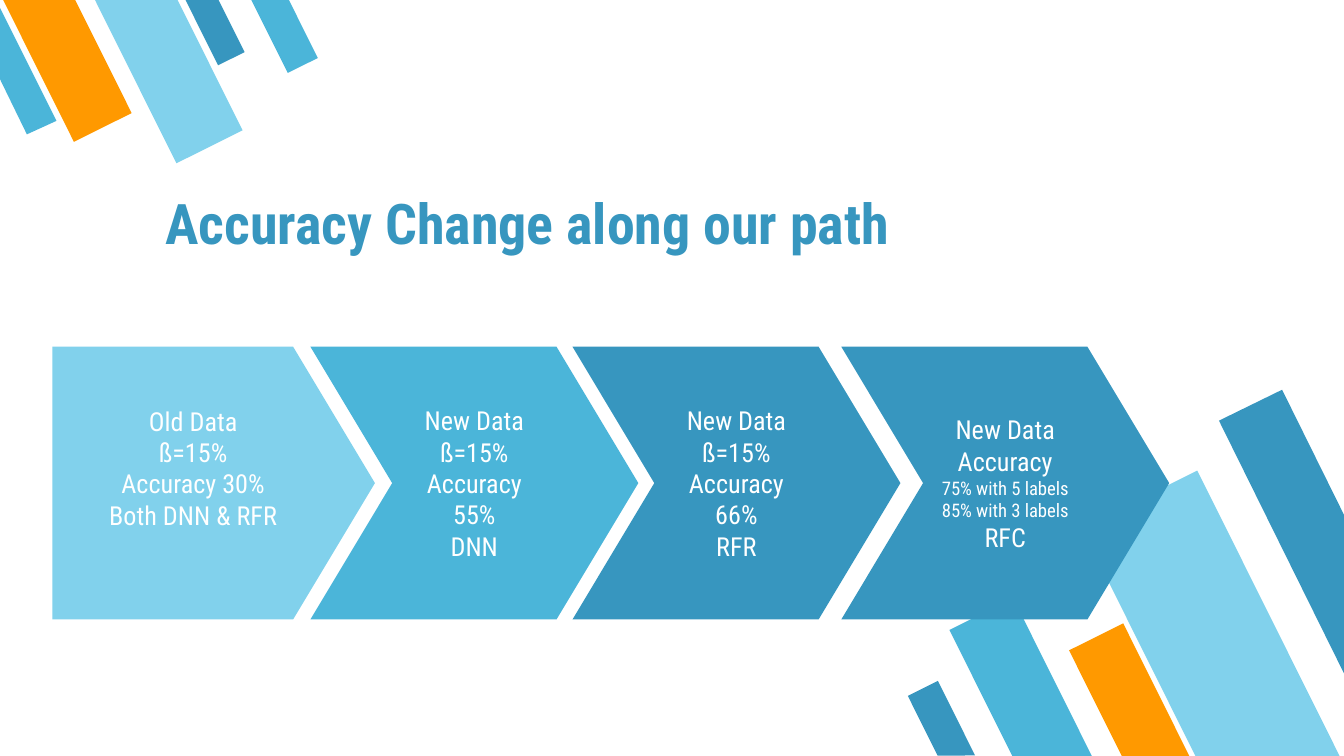
from dataclasses import dataclass

from pptx import Presentation
from pptx.dml.color import RGBColor
from pptx.enum.shapes import MSO_SHAPE as Preset
from pptx.enum.text import MSO_ANCHOR as Anchor, MSO_AUTO_SIZE as AutoSize, PP_ALIGN as Align
from pptx.util import Inches, Pt


@dataclass(frozen=True)
class Theme:
    font: str = "Roboto Condensed"
    title_size: int = 30
    body_size: int = 14
    small_size: int = 10
    white: str = "FFFFFF"
    pale: str = "81D1EC"
    sky: str = "4BB5D9"
    deep: str = "3796BF"
    orange: str = "FF9900"


@dataclass(frozen=True)
class Box:
    left: float
    top: float
    width: float
    height: float

    def inner(self, left, top, width, height):
        return Box(self.left + left, self.top + top, width, height)

    def lengths(self):
        return [cells(value) for value in (self.left, self.top, self.width, self.height)]


THEME = Theme()
COLUMNS = 100
SLIDE_WIDTH = Inches(10)
BAR_RATIO = 2.48
POINT_DEPTH = 0.3
LINE_CELLS = 2.3


def cells(count):
    return round(count * SLIDE_WIDTH / COLUMNS)


def paint(shape, color):
    shape.shadow.inherit = False
    shape.fill.solid()
    shape.fill.fore_color.rgb = RGBColor.from_string(color)
    shape.line.fill.background()


def style(paragraph, size, color, bold=False, align=Align.CENTER):
    paragraph.alignment = align
    paragraph.font.name = THEME.font
    paragraph.font.size = Pt(size)
    paragraph.font.bold = bold
    paragraph.font.color.rgb = RGBColor.from_string(color)


def add_corner(slide, box, angle, bars, outline, outline_color):
    group = slide.shapes.add_group_shape()
    for left, top, width, color in bars:
        place = box.inner(left, top, width, width * BAR_RATIO)
        bar = group.shapes.add_shape(Preset.FLOWCHART_MANUAL_INPUT, *place.lengths())
        bar.rotation = angle
        bar._element.spPr.xfrm.set("flipH", "1")
        paint(bar, color)
    points = [(cells(box.left + x), cells(box.top + y)) for x, y in outline]
    builder = group.shapes.build_freeform(*points[0])
    builder.add_line_segments(points[1:], close=True)
    paint(builder.convert_to_shape(), outline_color)


def add_title(slide, box, text):
    title = slide.shapes.title
    title.left, title.top, title.width, title.height = box.lengths()
    frame = title.text_frame
    frame.text = text
    frame.auto_size = AutoSize.NONE
    frame.vertical_anchor = Anchor.BOTTOM
    frame.margin_left = frame.margin_right = frame.margin_top = frame.margin_bottom = cells(1)
    style(frame.paragraphs[0], THEME.title_size, THEME.deep, True, Align.LEFT)


def add_step(slide, box, preset, color, lines, blank_below=0):
    step = slide.shapes.add_shape(preset, *box.lengths())
    step.adjustments[0] = POINT_DEPTH
    paint(step, color)
    frame = step.text_frame
    frame.word_wrap = True
    frame.vertical_anchor = Anchor.MIDDLE
    frame.margin_left = frame.margin_right = frame.margin_top = cells(1)
    frame.margin_bottom = cells(1 + blank_below)
    for index, line in enumerate(lines):
        paragraph = frame.paragraphs[0] if index == 0 else frame.add_paragraph()
        paragraph.text = line
        size = THEME.small_size if "labels" in line else THEME.body_size
        style(paragraph, size, THEME.white)


def add_process(slide, box):
    start = ["Old Data", "ß=15%", "Accuracy 30%", "Both DNN & RFR"]
    add_step(slide, box.inner(0, 0, 24, box.height), Preset.PENTAGON, THEME.pale, start, LINE_CELLS)
    chevrons = [
        (19.2, THEME.sky, ["New Data", "ß=15%", "Accuracy 55%", "DNN"]),
        (38.7, THEME.deep, ["New Data", "ß=15%", "Accuracy", "66%", "RFR"]),
        (58.7, THEME.deep, ["New Data", "Accuracy", "75% with 5 labels", "85% with 3 labels", "RFC"]),
    ]
    for left, color, lines in chevrons:
        add_step(slide, box.inner(left, 0, 24.4, box.height), Preset.CHEVRON, color, lines)


def main():
    presentation = Presentation()
    presentation.slide_width = SLIDE_WIDTH
    presentation.slide_height = SLIDE_WIDTH * 9 // 16
    slide = presentation.slides.add_slide(presentation.slide_layouts[5])

    lower_bars = [
        (4.5, 16, 5.3, THEME.sky),
        (16.5, 6.9, 9.6, THEME.pale),
        (13, 17.8, 4.5, THEME.orange),
        (0, 21.9, 2.5, THEME.deep),
    ]
    lower_outline = [(26.6, 0), (21.9, 2.3), (31.2, 21.1), (31.2, 9.3)]
    add_corner(slide, Box(68.8, 29, 31.2, 27.2), 153.5, lower_bars, lower_outline, THEME.deep)

    upper_bars = [
        (14.9, -0.8, 2.2, THEME.deep),
        (2.6, -1.8, 4.8, THEME.orange),
        (9.8, -2, 5.5, THEME.pale),
        (19.9, -1, 2.5, THEME.sky),
    ]
    upper_outline = [(2, 10), (4.2, 9), (0, 0.6), (0, 5.9)]
    add_corner(slide, Box(0, 0, 24, 12.5), 333.5, upper_bars, upper_outline, THEME.sky)

    add_title(slide, Box(11.3, 12.6, 63, 7.4), "Accuracy Change along our path")
    add_process(slide, Box(3.9, 25.8, 83.1, 20.3))
    presentation.save("out.pptx")


if __name__ == "__main__":
    main()
